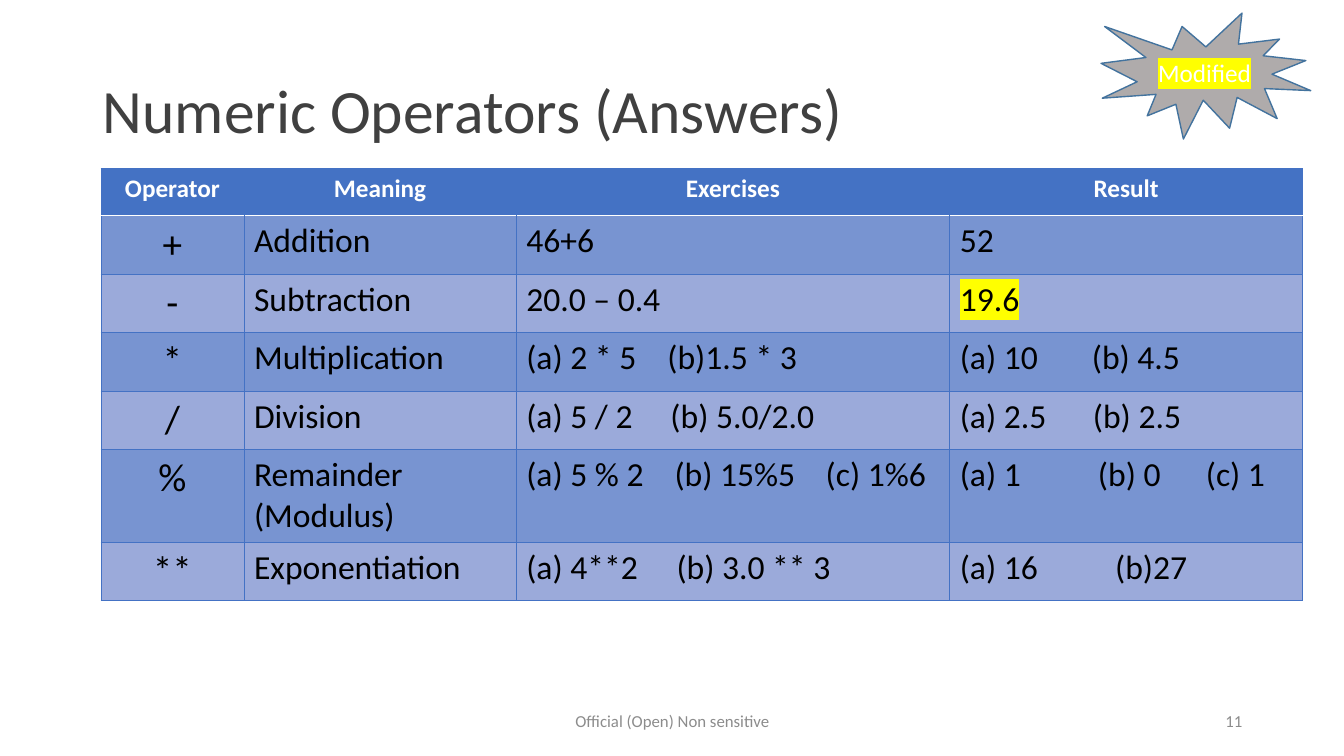
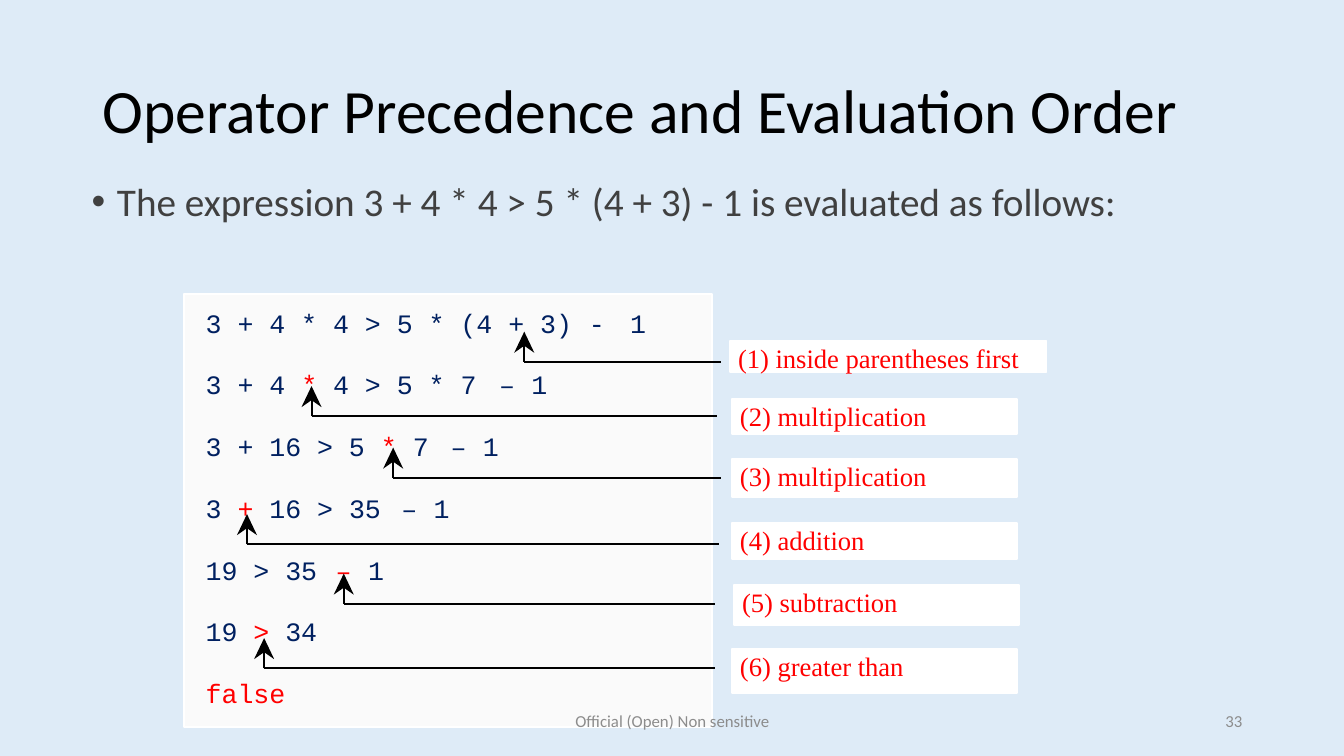
from dataclasses import dataclass

from pptx import Presentation
from pptx import util as u
from pptx.dml.color import RGBColor
from pptx.enum import shapes, text
from pptx.oxml import ns
from pptx.oxml.xmlchemy import OxmlElement

# Colours
WHITE = RGBColor(0xFF, 0xFF, 0xFF)
BLACK = RGBColor(0x00, 0x00, 0x00)
CHARCOAL = RGBColor(0x40, 0x40, 0x40)
FOOTER_GRAY = RGBColor(0x8C, 0x8C, 0x8C)
PALE_BLUE = RGBColor(0xDE, 0xEB, 0xF7)
BLUE = RGBColor(0x44, 0x72, 0xC4)
BAND_DARK = RGBColor(0x78, 0x94, 0xD1)
BAND_LIGHT = RGBColor(0x9B, 0xAA, 0xDA)
BURST_GRAY = RGBColor(0xAF, 0xAB, 0xAB)
BURST_LINE = RGBColor(0x43, 0x73, 0x9E)
YELLOW = RGBColor(0xFF, 0xFF, 0x00)
PANEL = RGBColor(0xFA, 0xFA, 0xFA)
NAVY = RGBColor(0x00, 0x20, 0x60)
RED = RGBColor(0xFF, 0x00, 0x00)

# Fonts and shared measures
SANS, MONO, SERIF = "Calibri", "Courier New", "Times New Roman"
CODE_SIZE = 19
LINE_WIDTH = 1.38
LEFT, CENTER, RIGHT = text.PP_ALIGN.LEFT, text.PP_ALIGN.CENTER, text.PP_ALIGN.RIGHT
TOP, MIDDLE = text.MSO_ANCHOR.TOP, text.MSO_ANCHOR.MIDDLE


@dataclass(frozen=True)
class Cell:
    text: str
    tabs: tuple[float, ...] = ()
    highlight: RGBColor | None = None


@dataclass(frozen=True)
class OperatorRow:
    symbol: str
    meaning: str
    exercise: Cell
    result: Cell
    height: float = 0.58


@dataclass(frozen=True)
class CodePiece:
    line: int
    left: float
    code: str  # text between bars is red


@dataclass(frozen=True)
class Step:
    label: str
    left: float
    top: float
    width: float
    height: float
    arrow_x: float
    arrow_y: float
    arrow_end: float


OPERATOR_ROWS = [
    OperatorRow("+", "Addition", Cell("46+6"), Cell("52")),
    OperatorRow("-", "Subtraction", Cell("20.0 – 0.4"), Cell("19.6", highlight=YELLOW)),
    OperatorRow("*", "Multiplication", Cell("(a) 2 * 5\t(b)1.5 * 3", (1.4,)),
                Cell("(a) 10\t(b) 4.5", (1.31,))),
    OperatorRow("/", "Division", Cell("(a) 5 / 2\t(b) 5.0/2.0", (1.43,)),
                Cell("(a) 2.5\t(b) 2.5", (1.32,))),
    OperatorRow("%", "Remainder (Modulus)", Cell("(a) 5 % 2\t(b) 15%5\t(c) 1%6", (1.47, 2.97)),
                Cell("(a) 1\t(b) 0\t(c) 1", (1.37, 2.44)), 0.92),
    OperatorRow("**", "Exponentiation", Cell("(a) 4**2\t(b) 3.0 ** 3", (1.49,)),
                Cell("(a) 16\t(b)27", (1.54,))),
]

CODE_LEFT = 2.04
CODE_PIECES = [
    CodePiece(0, CODE_LEFT, "3 + 4 * 4 > 5 * (4 + 3)"),
    CodePiece(0, 5.84, "-"),
    CodePiece(0, 6.25, "1"),
    CodePiece(1, CODE_LEFT, "3 + 4 |*| 4 > 5 * 7"),
    CodePiece(1, 4.95, "–"),
    CodePiece(1, 5.27, "1"),
    CodePiece(2, CODE_LEFT, "3 + 16 > 5 |*| 7"),
    CodePiece(2, 4.47, "–"),
    CodePiece(2, 4.79, "1"),
    CodePiece(3, CODE_LEFT, "3 |+| 16 > 35"),
    CodePiece(3, 3.98, "–"),
    CodePiece(3, 4.3, "1"),
    CodePiece(4, CODE_LEFT, "19 > 35"),
    CodePiece(4, 3.33, "|–|"),
    CodePiece(4, 3.65, "1"),
    CodePiece(5, CODE_LEFT, "19 |>| 34"),
    CodePiece(6, CODE_LEFT, "|false|"),
]

STEPS = [
    Step("(1) inside parentheses first", 7.24, 3.38, 3.14, 0.31, 5.2, 3.59, 7.15),
    Step("(2) multiplication", 7.26, 3.96, 2.83, 0.35, 3.09, 4.13, 7.11),
    Step("(3) multiplication", 7.26, 4.55, 2.83, 0.38, 3.9, 4.74, 7.15),
    Step("(4) addition", 7.26, 5.19, 2.83, 0.36, 2.45, 5.4, 7.13),
    Step("(5) subtraction", 7.28, 5.8, 2.83, 0.4, 3.41, 5.99, 7.09),
    Step("(6) greater than", 7.26, 6.44, 2.83, 0.44, 2.62, 6.63, 7.09),
]


def write(paragraph, content: str, *, size: float, color: RGBColor, font: str = SANS,
          bold: bool = False, align=LEFT, highlight: RGBColor | None = None) -> None:
    """Append a formatted run to a paragraph."""
    paragraph.alignment = align
    run = paragraph.add_run()
    run.text = content
    run.font.name, run.font.size, run.font.bold = font, u.Pt(size), bold
    run.font.color.rgb = color
    if highlight is not None:
        mark, value = OxmlElement("a:highlight"), OxmlElement("a:srgbClr")
        value.set("val", str(highlight))
        mark.append(value)
        run.font._element.find(ns.qn("a:solidFill")).addnext(mark)


def place(shape, left: float, top: float, width: float, height: float) -> None:
    shape.left, shape.top = u.Inches(left), u.Inches(top)
    shape.width, shape.height = u.Inches(width), u.Inches(height)


def set_margins(frame, left: float, top: float) -> None:
    frame.margin_left, frame.margin_top = u.Inches(left), u.Inches(top)
    frame.margin_right = frame.margin_bottom = 0


def add_text_box(slide, left: float, top: float, width: float, height: float, anchor=TOP):
    frame = slide.shapes.add_textbox(*map(u.Inches, (left, top, width, height))).text_frame
    frame.word_wrap, frame.vertical_anchor = True, anchor
    return frame


def add_block(slide, kind, box: tuple[float, ...], fill: RGBColor, line: RGBColor, width: float):
    shape = slide.shapes.add_shape(kind, *map(u.Inches, box))
    shape.shadow.inherit = False
    shape.fill.solid()
    shape.fill.fore_color.rgb = fill
    shape.line.color.rgb, shape.line.width = line, u.Pt(width)
    return shape


def add_line(slide, x1: float, y1: float, x2: float, y2: float) -> None:
    line = slide.shapes.add_connector(
        shapes.MSO_CONNECTOR.STRAIGHT, *map(u.Inches, (x1, y1, x2, y2)))
    line.line.color.rgb, line.line.width = BLACK, u.Pt(LINE_WIDTH)
    line._element.spPr.append(OxmlElement("a:effectLst"))


def start_slide(presentation, layout: int, title: str, title_color: RGBColor,
                background: RGBColor):
    """Add a slide with the shared title style."""
    slide = presentation.slides.add_slide(presentation.slide_layouts[layout])
    slide.background.fill.solid()
    slide.background.fill.fore_color.rgb = background
    place(slide.shapes.title, 0.92, 0.4, 11.5, 1.45)
    frame = slide.shapes.title.text_frame
    frame.vertical_anchor, frame.auto_size = MIDDLE, text.MSO_AUTO_SIZE.NONE
    frame.paragraphs[0].line_spacing = 0.9
    write(frame.paragraphs[0], title, size=44, color=title_color)
    return slide


def add_footer(slide, number: int) -> None:
    """Add the footer and slide number in front of the slide's content."""
    for left, width, content, align in ((4.42, 4.5, "Official (Open) Non sensitive", CENTER),
                                        (9.42, 3, str(number), RIGHT)):
        frame = add_text_box(slide, left, 6.95, width, 0.4, MIDDLE)
        write(frame.paragraphs[0], content, size=12, color=FOOTER_GRAY, align=align)


def set_border(cell, side: str, color: RGBColor | None, width: float = 0.5) -> None:
    line = OxmlElement(f"a:ln{side}")
    line.set("w", str(u.Pt(width)))
    if color is None:
        line.append(OxmlElement("a:noFill"))
    else:
        fill, value = OxmlElement("a:solidFill"), OxmlElement("a:srgbClr")
        value.set("val", str(color))
        fill.append(value)
        line.append(fill)
    cell._tc.get_or_add_tcPr().append(line)


def style_cell(cell, fill: RGBColor, left, right, top, bottom) -> None:
    for side, border in zip("LRTB", (left, right, top, bottom)):
        set_border(cell, side, border, 1 if border == WHITE else 0.5)
    cell.fill.solid()
    cell.fill.fore_color.rgb = fill


def set_tabs(paragraph, positions: tuple[float, ...]) -> None:
    tab_list = OxmlElement("a:tabLst")
    for position in positions:
        tab = OxmlElement("a:tab")
        tab.set("pos", str(u.Inches(position)))
        tab.set("algn", "l")
        tab_list.append(tab)
    paragraph._p.get_or_add_pPr().append(tab_list)


def add_operator_table(slide) -> None:
    headings = ("Operator", "Meaning", "Exercises", "Result")
    heights = [0.47] + [row.height for row in OPERATOR_ROWS]
    table = slide.shapes.add_table(
        len(heights), len(headings), *map(u.Inches, (1, 1.67, 11.92, sum(heights)))).table
    table.first_row = table.horz_banding = False
    for column, width in zip(table.columns, (1.42, 2.7, 4.3, 3.5)):
        column.width = u.Inches(width)
    for row, height in zip(table.rows, heights):
        row.height = u.Inches(height)

    # Header row: no inner borders, white rule below
    last = len(headings) - 1
    for index, heading in enumerate(headings):
        cell = table.cell(0, index)
        style_cell(cell, BLUE, None if index else BLUE, BLUE if index == last else None,
                   BLUE, WHITE)
        write(cell.text_frame.paragraphs[0], heading, size=18, color=WHITE,
              bold=True, align=CENTER)

    # Banded operator rows
    for number, row in enumerate(OPERATOR_ROWS, 1):
        contents = (Cell(row.symbol), Cell(row.meaning), row.exercise, row.result)
        for index, content in enumerate(contents):
            cell = table.cell(number, index)
            style_cell(cell, BAND_DARK if number % 2 else BAND_LIGHT, BLUE, BLUE,
                       WHITE if number == 1 else BLUE, BLUE)
            paragraph = cell.text_frame.paragraphs[0]
            if content.tabs:
                set_tabs(paragraph, content.tabs)
            write(paragraph, content.text, size=24 if index else 28, color=BLACK,
                  align=LEFT if index else CENTER, highlight=content.highlight)


def add_code(slide, piece: CodePiece) -> None:
    frame = add_text_box(slide, piece.left, 3.04 + 0.613 * piece.line, 3.72, 0.32)
    set_margins(frame, 0, 0)
    frame.word_wrap = False
    for index, part in enumerate(piece.code.split("|")):
        if part:
            write(frame.paragraphs[0], part, size=CODE_SIZE, font=MONO,
                  color=RED if index % 2 else NAVY)


def add_step(slide, step: Step) -> None:
    """Draw a label and the bent arrow from it to its operator."""
    label = add_block(slide, shapes.MSO_SHAPE.RECTANGLE,
                      (step.left, step.top, step.width, step.height), WHITE, WHITE, LINE_WIDTH)
    frame = label.text_frame
    set_margins(frame, 0.08, 0.01)
    frame.vertical_anchor, frame.word_wrap = TOP, False
    write(frame.paragraphs[0], step.label, size=CODE_SIZE, font=SERIF, color=RED)

    x, y = step.arrow_x, step.arrow_y
    add_line(slide, x, y, step.arrow_end, y)
    add_line(slide, x, y, x, y - 0.17)
    points = [(u.Inches(x + dx), u.Inches(y + dy))
              for dx, dy in ((0, -0.3), (-0.1, -0.09), (0, -0.16), (0.1, -0.09))]
    builder = slide.shapes.build_freeform(*points[0])
    builder.add_line_segments(points[1:], close=True)
    head = builder.convert_to_shape()
    head.shadow.inherit = False
    head.fill.solid()
    head.fill.fore_color.rgb = BLACK
    head.line.fill.background()


def build_answers_slide(presentation) -> None:
    slide = start_slide(presentation, 5, "Numeric Operators (Answers)", CHARCOAL, WHITE)
    add_operator_table(slide)
    burst = add_block(slide, shapes.MSO_SHAPE.EXPLOSION1, (10.92, 0.13, 2.08, 1.25),
                      BURST_GRAY, BURST_LINE, 1)
    burst.text_frame.vertical_anchor = MIDDLE
    write(burst.text_frame.paragraphs[0], "Modified", size=18, color=WHITE,
          align=CENTER, highlight=YELLOW)
    add_footer(slide, 11)


def build_precedence_slide(presentation) -> None:
    slide = start_slide(presentation, 1, "Operator Precedence and Evaluation Order",
                        BLACK, PALE_BLUE)
    # Bulleted introduction
    body = slide.placeholders[1]
    place(body, 0.81, 1.76, 11.5, 4.76)
    body.text_frame.auto_size = text.MSO_AUTO_SIZE.NONE
    paragraph = body.text_frame.paragraphs[0]
    properties = paragraph._p.get_or_add_pPr()
    properties.set("marL", str(u.Inches(0.25)))
    properties.set("indent", str(u.Inches(-0.25)))
    bullet = OxmlElement("a:buChar")
    bullet.set("char", "•")
    properties.append(bullet)
    paragraph.line_spacing, paragraph.space_before = 0.9, u.Pt(0)
    write(paragraph, "The expression 3 + 4 * 4 > 5 * (4 + 3) - 1 is evaluated as follows:",
          size=28, color=CHARCOAL)

    # Code panel with evaluation steps
    add_block(slide, shapes.MSO_SHAPE.RECTANGLE, (1.83, 2.92, 5.23, 4.29),
              PANEL, WHITE, LINE_WIDTH)
    for piece in CODE_PIECES:
        add_code(slide, piece)
    for step in STEPS:
        add_step(slide, step)
    add_footer(slide, 33)


def main() -> None:
    presentation = Presentation()
    presentation.slide_width, presentation.slide_height = u.Inches(13.33), u.Inches(7.5)
    build_answers_slide(presentation)
    build_precedence_slide(presentation)
    presentation.save("out.pptx")


if __name__ == "__main__":
    main()
